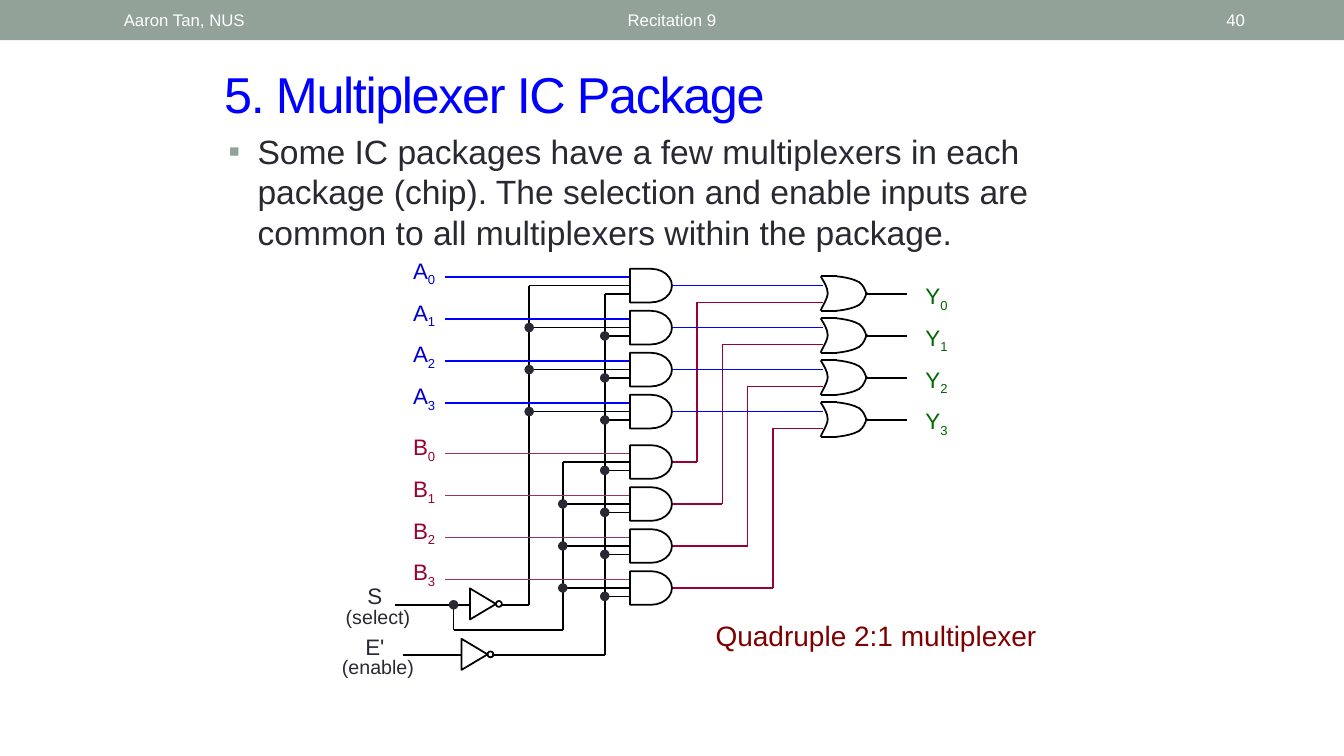
from lxml import etree
from pptx import Presentation
from pptx.dml.color import RGBColor
from pptx.enum.shapes import MSO_CONNECTOR, MSO_SHAPE
from pptx.enum.text import MSO_ANCHOR, PP_ALIGN
from pptx.oxml.ns import qn
from pptx.util import Inches, Pt

LEFT, CENTER, RIGHT = PP_ALIGN.LEFT, PP_ALIGN.CENTER, PP_ALIGN.RIGHT
TOP, MIDDLE = MSO_ANCHOR.TOP, MSO_ANCHOR.MIDDLE
RECTANGLE, OVAL = MSO_SHAPE.RECTANGLE, MSO_SHAPE.OVAL
AND_GATE, TRIANGLE = MSO_SHAPE.FLOWCHART_DELAY, MSO_SHAPE.FLOWCHART_MERGE
STRAIGHT = MSO_CONNECTOR.STRAIGHT

CELL = Inches(1) / 12
COLUMNS, ROWS = 160, 90
BLACK, INK, WHITE, SAGE = "000000", "292934", "FFFFFF", "93A299"
BLUE, RED, PLUM = "0000FF", "990033", "993366"

deck = Presentation()
deck.slide_width = round(COLUMNS * CELL)
deck.slide_height = round(ROWS * CELL)
slide = deck.slides.add_slide(deck.slide_layouts[6])
shapes = slide.shapes


def paint(fill, colour):
    if colour is None:
        fill.background()
    else:
        fill.solid()
        fill.fore_color.rgb = RGBColor.from_string(colour)


def write(paragraphs, area, size=16, colour=INK, align=LEFT, anchor=TOP,
          before=0, line=1.0, tracking=0, bullet=None):
    box = shapes.add_textbox(*[round(value * CELL) for value in area])
    frame = box.text_frame
    frame.word_wrap = True
    frame.vertical_anchor = anchor
    for index, spans in enumerate(paragraphs):
        para = frame.paragraphs[0] if index == 0 else frame.add_paragraph()
        if bullet:
            properties = para._p.get_or_add_pPr()
            properties.set("marL", str(Inches(0.29)))
            properties.set("indent", str(-Inches(0.29)))
            tint = etree.SubElement(properties, qn("a:buClr"))
            etree.SubElement(tint, qn("a:srgbClr"), val=SAGE)
            etree.SubElement(properties, qn("a:buFont"), typeface="Arial")
            etree.SubElement(properties, qn("a:buChar"), char=bullet)
        para.alignment = align
        para.line_spacing = line
        para.space_before = Pt(before if index else 0)
        for text, changes in spans:
            span = para.add_run()
            span.text = text
            span.font.name = "Arial"
            span.font.size = Pt(changes.get("size", size))
            paint(span.font.fill, colour)
            if tracking:
                span._r.get_or_add_rPr().set("spc", str(tracking))
            if "baseline" in changes:
                span._r.get_or_add_rPr().set("baseline", str(changes["baseline"]))


wires = [
    (63, 34, 63, 72, BLACK), (67, 55, 67, 75, BLACK), (72, 35, 72, 78, BLACK),
    (47, 72, 56, 72, BLACK), (59.8, 72, 63, 72, BLACK),
    (54, 72, 54, 75, BLACK), (54, 75, 67, 75, BLACK),
    (48, 78, 55, 78, BLACK), (58.6, 78, 72, 78, BLACK),
]
dots = [(54, 72)]
gates = []
or_curves = []
back = [(0, 0), (0.36, 0.6), (0.84, 1.3), (0.84, 2),
        (0.84, 2.65), (0.12, 3.7), (0, 4.1)]
upper = [(1.9, 0), (3, 0.1), (4, 0.35), (4.6, 0.7),
         (5.15, 1.1), (5.3, 1.65), (5.5, 2.2)]
lower = [(x, 4.1 - y) for x, y in upper]

for row in range(4):
    for first_top, bus, input_colour in ((32, 63, BLUE), (53, 67, PLUM)):
        top = first_top + 5 * row
        gates.append((77.5, top + 2))
        wires += [(53, top + 1, 75, top + 1, input_colour),
                  (bus, top + 2, 75, top + 2, BLACK),
                  (72, top + 3, 75, top + 3, BLACK)]
        if row:
            dots.append((bus, top + 2))
        if row or bus == 67:
            dots.append((72, top + 3))
    a_output, b_output, riser = 34 + 5 * row, 55 + 5 * row, 83 + 3 * row
    or_left, or_top = 97.7, 32.9 + 5 * row
    wires += [(80, a_output, 98, a_output, BLUE),
              (80, b_output, riser, b_output, RED),
              (riser, a_output + 2, riser, b_output, RED),
              (riser, a_output + 2, 98, a_output + 2, RED),
              (103, a_output + 1, 108, a_output + 1, BLACK)]
    wires += [(or_left, y, or_left + 1.9, y, BLACK) for y in (or_top, or_top + 4.1)]
    or_curves += [[(or_left + x, or_top + y) for x, y in curve]
                  for curve in (back, upper, lower)]

for x1, y1, x2, y2, colour in wires:
    wire = shapes.add_connector(STRAIGHT, *[round(v * CELL) for v in (x1, y1, x2, y2)])
    wire.line.width = Pt(1.25)
    paint(wire.line.fill, colour)
    etree.SubElement(wire._element.spPr, qn("a:effectLst"))

parts = [(RECTANGLE, COLUMNS / 2, 2.4, COLUMNS, 4.8, 0, SAGE, None, 0)]
parts += [(AND_GATE, x, y, 5, 4, 0, None, BLACK, 1.25) for x, y in gates]
parts += [(OVAL, x, y, 1, 1, 0, INK, INK, 0.75) for x, y in dots]
for x, y in ((57.5, 71.9), (56.5, 77.9)):
    parts += [(TRIANGLE, x, y, 3.7, 3.1, 270, None, BLACK, 1.25),
              (OVAL, x + 1.9, y, 0.7, 0.7, 0, None, BLACK, 1.25)]
for kind, x, y, width, height, turn, fill, outline, weight in parts:
    area = (x - width / 2, y - height / 2, width, height)
    part = shapes.add_shape(kind, *[round(value * CELL) for value in area])
    part.rotation = turn
    part.shadow.inherit = False
    paint(part.fill, fill)
    paint(part.line.fill, outline)
    if outline:
        part.line.width = Pt(weight)

for curve in or_curves:
    points = [(round(x * CELL), round(y * CELL)) for x, y in curve]
    builder = shapes.build_freeform(*points[0])
    builder.add_line_segments(points[1:], close=False)
    arc = builder.convert_to_shape()
    segments = list(arc._element.iter(qn("a:lnTo")))
    outline = segments[0].getparent()
    for start in (0, 3):
        bend = etree.SubElement(outline, qn("a:cubicBezTo"))
        for segment in segments[start:start + 3]:
            bend.append(segment[0])
            outline.remove(segment)
    arc.shadow.inherit = False
    paint(arc.fill, None)
    paint(arc.line.fill, BLACK)
    arc.line.width = Pt(1.25)

for letter, left, top, colour in (("A", 48, 30, "0000CC"), ("B", 48, 51, RED),
                                  ("Y", 109, 33, "006600")):
    labels = [[(letter, {}), (str(row), {"baseline": -25000})] for row in range(4)]
    write(labels, (left, top, 6, 18.8), colour=colour, before=8)

for name, role, top in (("S ", "(select)", 69.35), ("E' ", "(enable)", 75.35)):
    write([[(name, {})], [(role, {"size": 14})]], (39, top, 12, 6),
          align=CENTER, line=0.8)

write([[("5. Multiplexer IC Package", {})]], (25.5, 6.9, 110.5, 8.4),
      size=36, colour=BLUE, anchor=MIDDLE, tracking=-100)
write([[("Some IC packages have a few multiplexers in each package (chip). "
         "The selection and enable inputs are common to all multiplexers "
         "within the package.", {})]],
      (26, 15, 108, 17.6), size=24, bullet="▪")
write([[("Quadruple 2:1 multiplexer", {})]], (84, 73, 45, 5.2), size=20, colour="800000")

for text, left, width, align in (("Recitation 9", 36.25, 87.5, CENTER),
                                 ("Aaron Tan, NUS", 13.56, 38, LEFT),
                                 ("40", 138, 11.4, RIGHT)):
    write([[(text, {})]], (left, 0.25, width, 4.3), size=12, colour=WHITE,
          align=align, anchor=MIDDLE)

deck.save("out.pptx")
